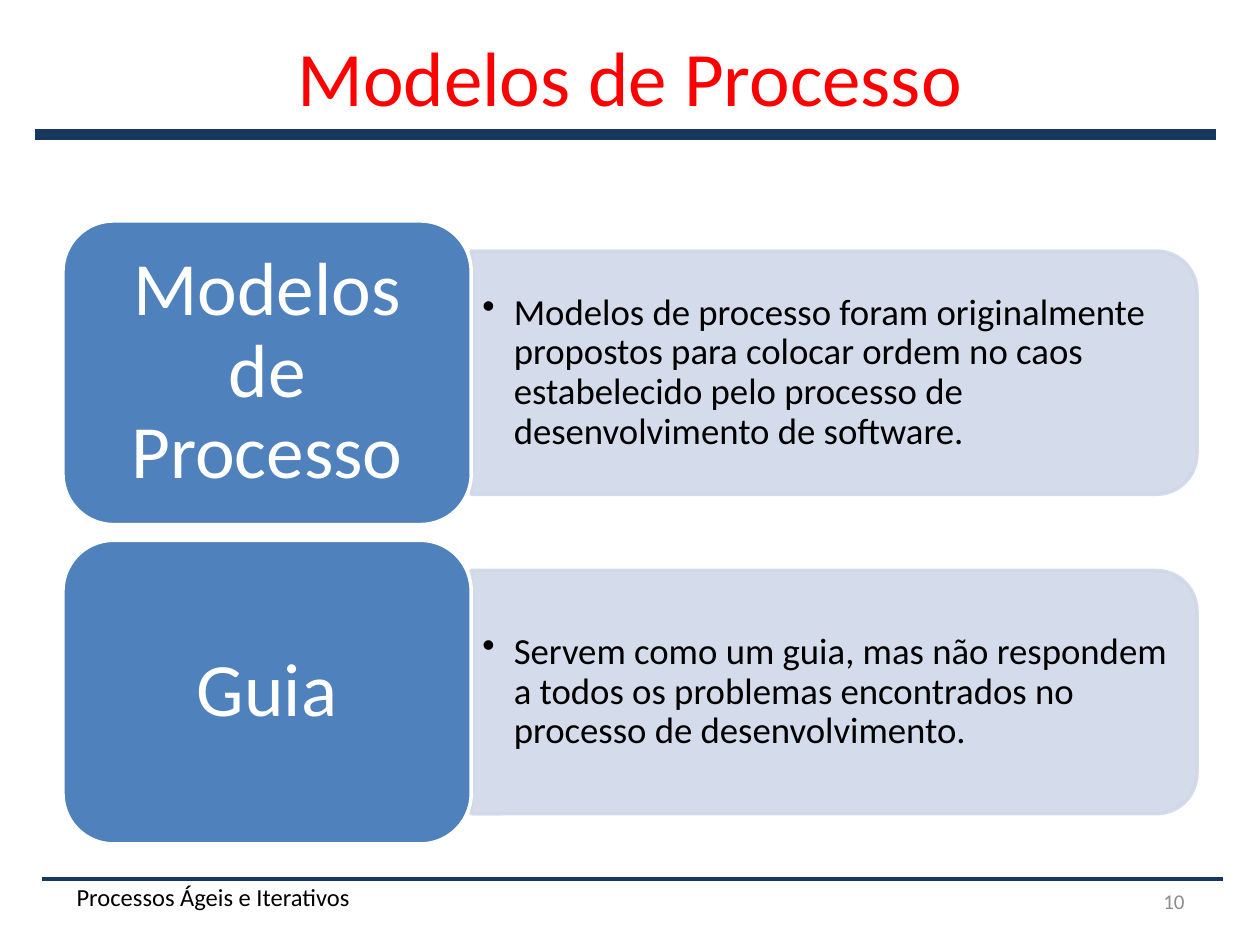
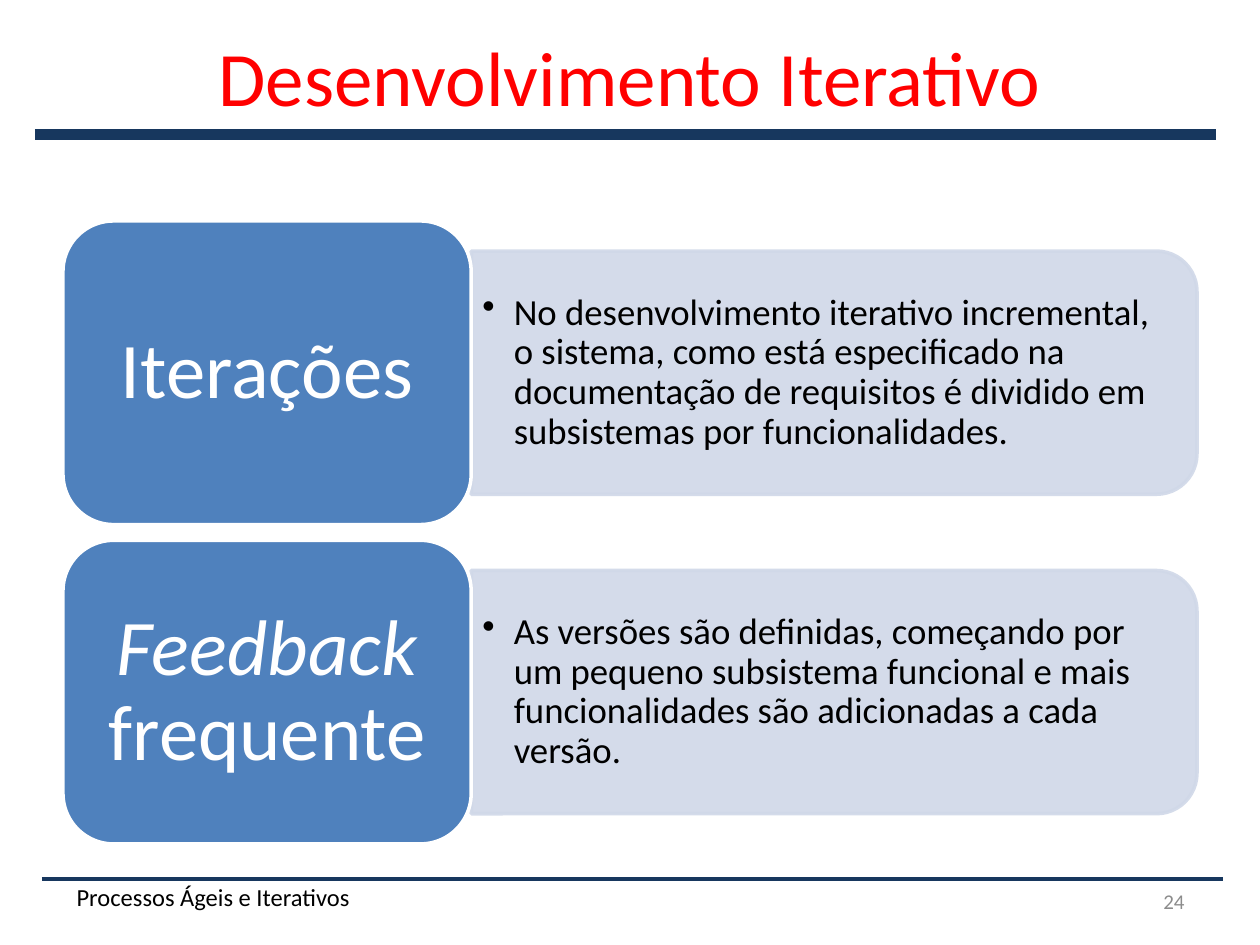
import pptx
import pptx.util
import pptx.dml.color
import pptx.enum.shapes
import pptx.enum.text
import pptx.oxml
import pptx.oxml.ns

Pt = pptx.util.Pt
Shape = pptx.enum.shapes.MSO_SHAPE
Align = pptx.enum.text.PP_ALIGN
Anchor = pptx.enum.text.MSO_ANCHOR


class Theme:
    font = "Calibri"
    red, navy, blue = "FF0000", "17375E", "4F81BD"
    pale, white, black, grey = "D0D8E8", "FFFFFF", "000000", "8C8C8C"
    title, body, foot, number = 44, 21, 14, 12


# Number, title, size of the tag text, rows of (tag runs, body text)
pages = [
    ("10", "Modelos de Processo", 43, [
        ([("Modelos de Processo", False)],
         "Modelos de processo foram originalmente propostos para colocar ordem "
         "no caos estabelecido pelo processo de desenvolvimento de software."),
        ([("Guia", False)],
         "Servem como um guia, mas não respondem a todos os problemas "
         "encontrados no processo de desenvolvimento."),
    ]),
    ("24", "Desenvolvimento Iterativo", 45, [
        ([("Iterações", False)],
         "No desenvolvimento iterativo incremental, o sistema, como está "
         "especificado na documentação de requisitos é dividido em "
         "subsistemas por funcionalidades."),
        ([("Feedback ", True), ("frequente", False)],
         "As versões são definidas, começando por um pequeno subsistema "
         "funcional e mais funcionalidades são adicionadas a cada versão."),
    ]),
]

# Row grid
left, top, step = 36, 126.25, 182.5
tag_w, tag_h = 233.3, 173.5
bar_w, bar_h = 414.7, 139
text_w, text_h = 408, 125


def write(shape, runs, size, color, align=Align.LEFT, anchor=Anchor.MIDDLE,
          inset=(7.2, 3.6), lines=None, bullet=False):
    """Fill a shape with one paragraph of (text, italic) runs."""
    frame = shape.text_frame
    frame.word_wrap = True
    frame.vertical_anchor = anchor
    frame.margin_left = frame.margin_right = Pt(inset[0])
    frame.margin_top = frame.margin_bottom = Pt(inset[1])
    para = frame.paragraphs[0]
    para.alignment = align
    if lines:
        para.line_spacing = lines
    if bullet:
        props = para._p.get_or_add_pPr()
        props.set("marL", str(Pt(18)))
        props.set("indent", str(Pt(-18)))
        mark = pptx.oxml.ns.qn("a:buChar")
        props.append(props.makeelement(mark, {"char": "•"}))
    for text, slant in runs:
        run = para.add_run()
        run.text = text
        run.font.name = Theme.font
        run.font.size = Pt(size)
        run.font.italic = slant
        run.font.color.rgb = pptx.dml.color.RGBColor.from_string(color)


def paint(shape, fill, line, alpha=None):
    """Set flat fill and a 2 pt outline, with alpha in percent."""
    shape.shadow.inherit = False
    shape.line.width = Pt(2)
    for part, color in ((shape.fill, fill), (shape.line.fill, line)):
        part.solid()
        part.fore_color.rgb = pptx.dml.color.RGBColor.from_string(color)
    if alpha:
        for node in shape._element.spPr.iter(pptx.oxml.ns.qn("a:srgbClr")):
            name = pptx.oxml.ns.qn("a:alpha")
            node.append(node.makeelement(name, {"val": str(alpha * 1000)}))


deck = pptx.Presentation()
deck.slide_width, deck.slide_height = Pt(720), Pt(540)

for number, title, tag_size, rows in pages:
    slide = deck.slides.add_slide(deck.slide_layouts[6])
    shapes = slide.shapes

    # Rules under the title and above the footer
    for x, y, width in ((20, 77, 6), (24, 502.5, 2.25)):
        rule = shapes.add_connector(pptx.enum.shapes.MSO_CONNECTOR.STRAIGHT,
                                    Pt(x), Pt(y), Pt(x + 674.6), Pt(y))
        rule.line.width = Pt(width)
        rule.line.color.rgb = pptx.dml.color.RGBColor.from_string(Theme.navy)
        effect = pptx.oxml.ns.qn("a:effectLst")
        rule._element.spPr.append(rule._element.makeelement(effect, {}))

    # Title
    box = shapes.add_textbox(Pt(36), Pt(-1.5), Pt(648), Pt(90))
    write(box, [(title, False)], Theme.title, Theme.red, Align.CENTER)

    # Rows: pale bar turned on its side, bullet text, blue tag
    for i, (tag_runs, body) in enumerate(rows):
        mid = top + i * step + tag_h / 2
        edge = left + tag_w
        bar = shapes.add_shape(Shape.ROUND_2_SAME_RECTANGLE,
                               Pt(edge + (bar_w - bar_h) / 2),
                               Pt(mid - bar_w / 2), Pt(bar_h), Pt(bar_w))
        bar.rotation = 90
        paint(bar, Theme.pale, Theme.pale, 90)

        box = shapes.add_textbox(Pt(edge), Pt(mid - text_h / 2),
                                 Pt(text_w), Pt(text_h))
        write(box, [(body, False)], Theme.body, Theme.black,
              inset=(6.3, 3.15), lines=0.9, bullet=True)

        tag = shapes.add_shape(Shape.ROUNDED_RECTANGLE, Pt(left),
                               Pt(mid - tag_h / 2), Pt(tag_w), Pt(tag_h))
        paint(tag, Theme.blue, Theme.white)
        write(tag, tag_runs, tag_size, Theme.white, Align.CENTER,
              inset=(0.3 * tag_size, 0.15 * tag_size), lines=0.9)

    # Footer and page number
    box = shapes.add_textbox(Pt(36.7), Pt(500.4), Pt(437), Pt(28.8))
    write(box, [("Processos Ágeis e Iterativos", False)], Theme.foot,
          Theme.black, anchor=Anchor.TOP)
    box = shapes.add_textbox(Pt(516), Pt(500.4), Pt(168), Pt(28.8))
    write(box, [(number, False)], Theme.number, Theme.grey, Align.RIGHT)

deck.save("out.pptx")
